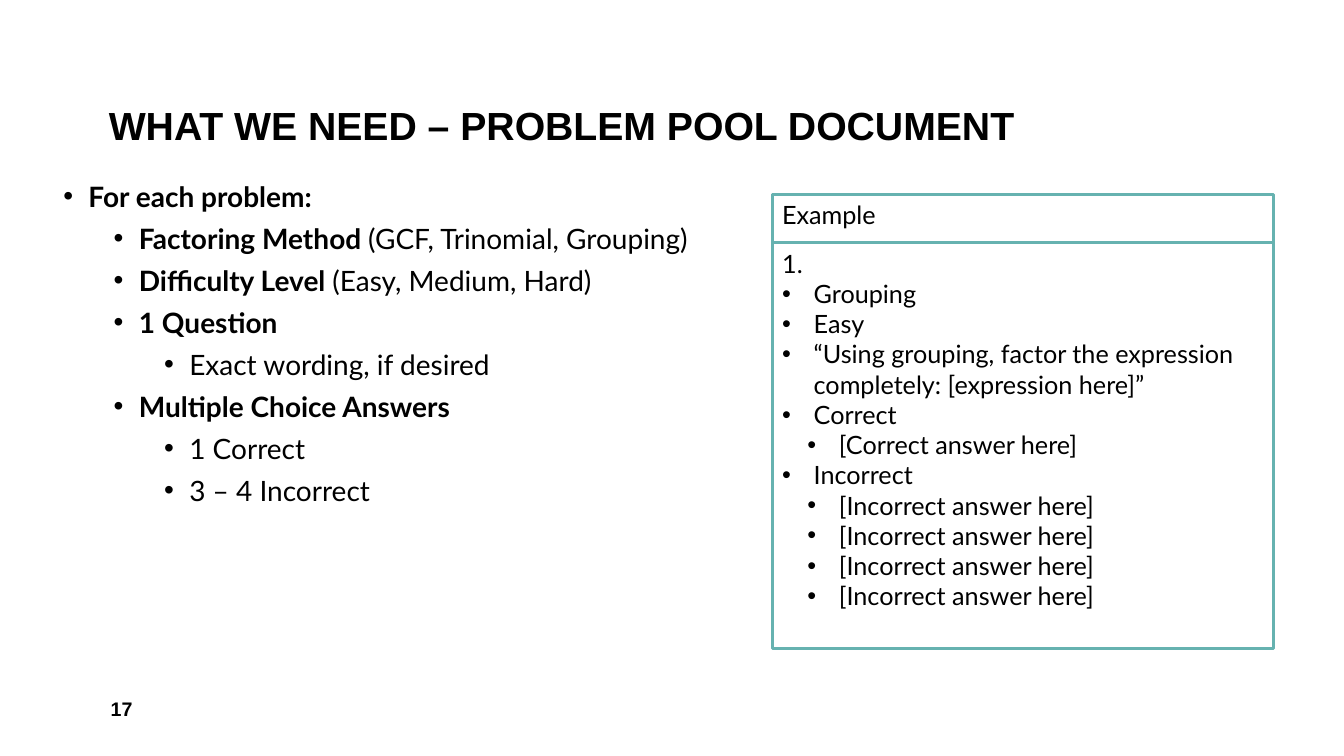
"""Build the slide that describes the problem pool document."""
from lxml.etree import SubElement
from pptx import Presentation
from pptx.dml.color import RGBColor
from pptx.enum.shapes import MSO_SHAPE as Shapes
from pptx.enum.text import MSO_ANCHOR as Anchor, MSO_AUTO_SIZE as AutoSize, PP_ALIGN as Align
from pptx.oxml.ns import qn
from pptx.util import Pt

TITLE = "WHAT WE NEED – PROBLEM POOL DOCUMENT"
PAGE_NUMBER = "17"
EXAMPLE_HEADING = "Example"
REQUIREMENTS = [
    (0, "For each problem:", ""),
    (1, "Factoring Method ", "(GCF, Trinomial, Grouping)"),
    (1, "Difficulty Level ", "(Easy, Medium, Hard)"),
    (1, "1 Question", ""),
    (2, "", "Exact wording, if desired"),
    (1, "Multiple Choice Answers", ""),
    (2, "", "1 Correct"),
    (2, "", "3 – 4 Incorrect"),
]
EXAMPLE = [
    (None, "", "1."),
    (0, "", "Grouping"),
    (0, "", "Easy"),
    (0, "", "“Using grouping, factor the expression completely: [expression here]”"),
    (0, "", "Correct"),
    (1, "", "[Correct answer here]"),
    (0, "", "Incorrect"),
] + [(1, "", "[Incorrect answer here]")] * 4

THEME = {
    "text": RGBColor(0x00, 0x00, 0x00),
    "frame": RGBColor(0x66, 0xB2, 0xB0),
    "frame_width": 2.25,
    "title": {"name": "Arial", "size": Pt(28)},
    "page": {"name": "Arial", "size": Pt(14)},
    "list": {"name": "Lato", "size": Pt(20)},
    "example": {"name": "Lato", "size": Pt(18)},
}
LIST_INDENT = {"hang": 18, "step": 36}
EXAMPLE_INDENT = {"hang": 22.5, "step": 18}

SLIDE_SIZE = (960, 540)
TITLE_BOX = (70.5, 5.75, 819.5, 104.5)
LIST_BOX = (38, 124.5, 487.5, 290)
PAGE_BOX = (72, 492, 210, 28.5)
EXAMPLE_LEFT, EXAMPLE_TOP, EXAMPLE_WIDTH = 551.5, 139, 358
HEADING_HEIGHT, CONTENT_HEIGHT = 34.5, 290
HEADING_BOX = (EXAMPLE_LEFT, EXAMPLE_TOP, EXAMPLE_WIDTH, HEADING_HEIGHT)
CONTENT_BOX = (EXAMPLE_LEFT, EXAMPLE_TOP + HEADING_HEIGHT, EXAMPLE_WIDTH, CONTENT_HEIGHT)


def apply(target, values):
    for name, value in values.items():
        setattr(target, name, value)


def place(shape, box, anchor=Anchor.TOP):
    apply(shape, dict(zip(("left", "top", "width", "height"), map(Pt, box))))
    apply(shape.text_frame, {
        "word_wrap": True, "auto_size": AutoSize.NONE, "vertical_anchor": anchor})


def add_frame(shape):
    shape.fill.background()
    shape.line.color.rgb = THEME["frame"]
    shape.line.width = Pt(THEME["frame_width"])


def set_bullet(paragraph, level, indent):
    properties = paragraph._p.get_or_add_pPr()
    if level is None:
        properties.set("marL", "0")
        properties.set("indent", "0")
        SubElement(properties, qn("a:buNone"))
        return
    paragraph.level = level
    properties.set("marL", str(Pt(indent["hang"] + level * indent["step"])))
    properties.set("indent", str(Pt(-indent["hang"])))
    SubElement(properties, qn("a:buFont"), typeface="Arial")
    SubElement(properties, qn("a:buChar"), char="•")


def add_text(paragraph, text, style, bold=False):
    run = paragraph.add_run()
    run.text = text
    apply(run.font, {**THEME[style], "bold": bold})
    run.font.color.rgb = THEME["text"]


def write_line(shape, text, style, bold=False, spacing=1.0):
    paragraph = shape.text_frame.paragraphs[0]
    apply(paragraph, {"alignment": Align.LEFT, "line_spacing": spacing})
    add_text(paragraph, text, style, bold)


def write_list(shape, items, style, indent, space_after):
    frame = shape.text_frame
    for index, (level, bold_text, plain_text) in enumerate(items):
        paragraph = frame.add_paragraph() if index else frame.paragraphs[0]
        set_bullet(paragraph, level, indent)
        apply(paragraph, {
            "space_before": Pt(0), "space_after": Pt(space_after), "line_spacing": 1.0})
        for text, bold in ((bold_text, True), (plain_text, False)):
            if text:
                add_text(paragraph, text, style, bold)


def main():
    presentation = Presentation()
    presentation.slide_width, presentation.slide_height = map(Pt, SLIDE_SIZE)
    slide = presentation.slides.add_slide(presentation.slide_layouts[3])
    title, requirements, example = slide.placeholders

    place(title, TITLE_BOX, Anchor.BOTTOM)
    write_line(title, TITLE, "title", bold=True, spacing=0.9)

    place(requirements, LIST_BOX)
    write_list(requirements, REQUIREMENTS, "list", LIST_INDENT, 6)

    page = slide.shapes.add_textbox(0, 0, 0, 0)
    place(page, PAGE_BOX, Anchor.MIDDLE)
    write_line(page, PAGE_NUMBER, "page", bold=True)

    place(example, CONTENT_BOX)
    add_frame(example)
    write_list(example, EXAMPLE, "example", EXAMPLE_INDENT, 0)

    heading = slide.shapes.add_shape(Shapes.RECTANGLE, 0, 0, 0, 0)
    heading.shadow.inherit = False
    place(heading, HEADING_BOX)
    add_frame(heading)
    write_line(heading, EXAMPLE_HEADING, "example")

    presentation.save("out.pptx")


if __name__ == "__main__":
    main()
